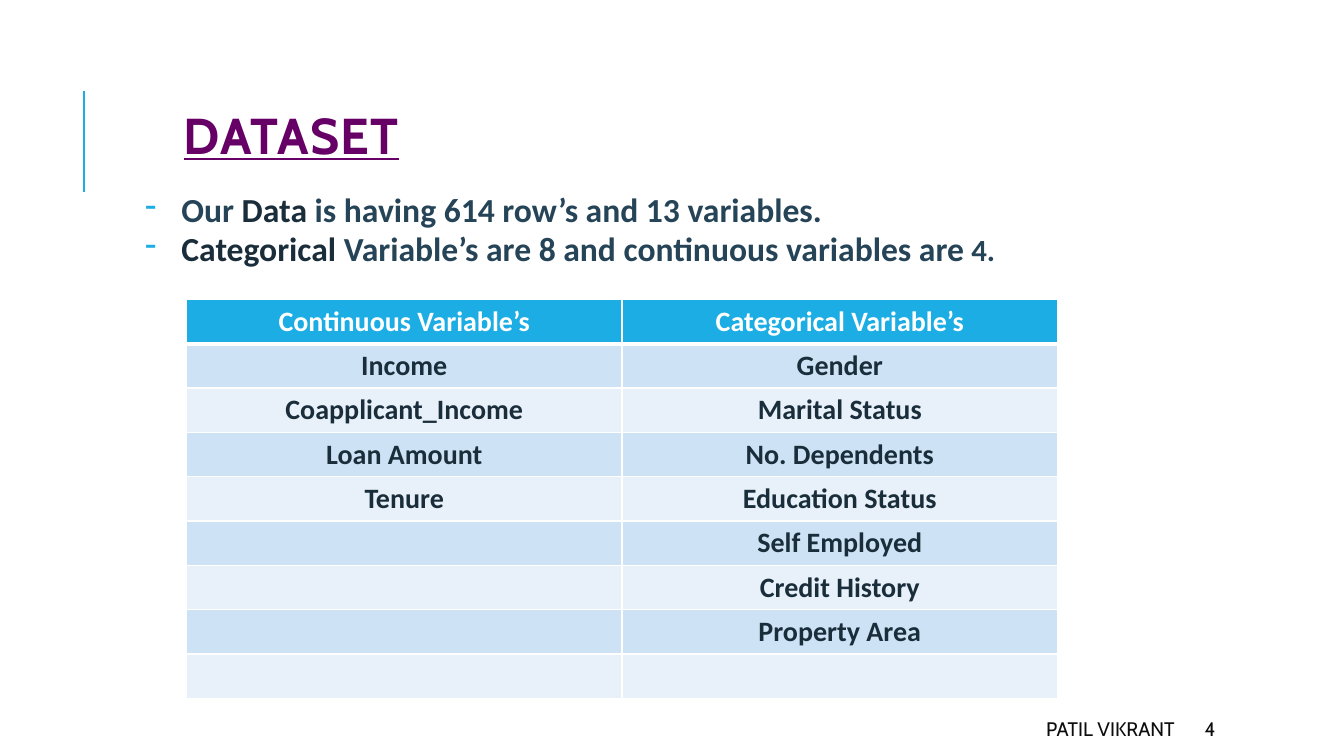
from itertools import zip_longest

from lxml import etree
from pptx import Presentation
from pptx.dml.color import RGBColor
from pptx.enum import shapes, text
from pptx.oxml import ns
from pptx.util import Inches, Pt

ACCENT, WHITE, PURPLE = "1CADE4", "FFFFFF", "660066"
SLATE, DARK, BLACK = "264457", "1A2D3A", "0D0D0D"
BANDS = ("CDE3F5", "E8F1FA")

BULLETS = [
    [("Our ", SLATE, 24), ("Data", DARK, 24),
     (" is having 614 row’s and 13 variables.", SLATE, 24)],
    [("Categorical", DARK, 24),
     (" Variable’s are 8 and continuous variables are", SLATE, 24),
     (" 4.", SLATE, 22)],
]
VARIABLES = {
    "Continuous Variable’s": ["Income", "Coapplicant_Income", "Loan Amount",
                              "Tenure"],
    "Categorical Variable’s": ["Gender", "Marital Status", "No. Dependents",
                               "Education Status", "Self Employed",
                               "Credit History", "Property Area"],
}
ROW_COUNT, ROW_HEIGHT, COL_WIDTH = 9, 0.44, 4.32


def rgb(value):
    return RGBColor.from_string(value)


def sub(parent, tag, **attrs):
    return etree.SubElement(parent, ns.qn(tag), attrs)


def place(sp, left, top, width, height):
    sp.left, sp.top = Inches(left), Inches(top)
    sp.width, sp.height = Inches(width), Inches(height)


def add_run(p, words, size, color, font="Calibri", bold=True):
    r = p.add_run()
    r.text = words
    r.font.name, r.font.size, r.font.bold = font, Pt(size), bold
    r.font.color.rgb = rgb(color)
    return r


def add_textbox(slide, left, top, width, height):
    sp = slide.shapes.add_textbox(Inches(left), Inches(top),
                                  Inches(width), Inches(height))
    sp.text_frame.word_wrap = True
    return sp.text_frame


def add_title(slide, words):
    sp = slide.shapes.title
    place(sp, 1.72, 1.02, 3.43, 0.73)
    tf = sp.text_frame
    tf.auto_size = text.MSO_AUTO_SIZE.NONE
    tf.vertical_anchor = text.MSO_ANCHOR.MIDDLE
    p = tf.paragraphs[0]
    p.alignment, p.line_spacing = text.PP_ALIGN.LEFT, 0.8
    r = add_run(p, words, 36, PURPLE, "Cabin")
    r.font.underline = True
    r.font._element.set("spc", "100")


def add_accent_line(slide):
    line = slide.shapes.add_connector(shapes.MSO_CONNECTOR.STRAIGHT,
                                      Inches(0.83), Inches(1.9),
                                      Inches(0.83), Inches(0.9))
    line.line.color.rgb, line.line.width = rgb(ACCENT), Pt(1.5)
    sub(line._element.spPr, "a:effectLst")


def add_bullets(slide, items):
    tf = add_textbox(slide, 1.25, 1.87, 10.83, 0.95)
    tf.margin_left = tf.margin_right = Inches(0.05)
    tf.margin_top = tf.margin_bottom = Inches(0.05)
    for i, runs in enumerate(items):
        p = tf.add_paragraph() if i else tf.paragraphs[0]
        p.line_spacing, p.space_after = 0.9, Pt(2)
        pPr = p._p.get_or_add_pPr()
        pPr.set("marL", str(Inches(0.5)))
        pPr.set("indent", str(Inches(-0.36)))
        sub(sub(pPr, "a:buClr"), "a:srgbClr", val=ACCENT)
        sub(pPr, "a:buChar", char="-")
        for words, color, size in runs:
            add_run(p, words, size, color)


def set_borders(cell, **widths):
    """Draw white cell borders; widths are points by side (L, R, T, B)."""
    tcPr = cell._tc.get_or_add_tcPr()
    for i, (side, width) in enumerate(widths.items()):
        ln = etree.Element(ns.qn(f"a:ln{side}"), w=str(Pt(width)))
        sub(sub(ln, "a:solidFill"), "a:srgbClr", val=WHITE)
        tcPr.insert(i, ln)


def add_variable_table(slide, columns):
    frame = slide.shapes.add_table(
        ROW_COUNT, len(columns), Inches(1.85), Inches(2.97),
        Inches(COL_WIDTH * len(columns)), Inches(ROW_HEIGHT * ROW_COUNT))
    table = frame.table
    rows = [list(columns), *zip_longest(*columns.values(), fillvalue="")]
    rows += [[""] * len(columns)] * (ROW_COUNT - len(rows))
    for i, row in enumerate(rows):
        fill = BANDS[(i - 1) % 2] if i else ACCENT
        for j, words in enumerate(row):
            cell = table.cell(i, j)
            cell.fill.solid()
            cell.fill.fore_color.rgb = rgb(fill)
            set_borders(cell, L=1, R=1, T=3 if i == 1 else 1,
                        B=1 if i else 3)
            if words:
                p = cell.text_frame.paragraphs[0]
                p.alignment = text.PP_ALIGN.CENTER
                add_run(p, words, 20, DARK if i else WHITE)


def add_footer(slide, words, left, width, align):
    tf = add_textbox(slide, left, 7.08, width, 0.3)
    tf.vertical_anchor = text.MSO_ANCHOR.MIDDLE
    p = tf.paragraphs[0]
    p.alignment = align
    add_run(p, words, 14, BLACK, "Cabin", bold=False)


def main():
    prs = Presentation()
    prs.slide_width, prs.slide_height = Inches(13.33), Inches(7.5)
    slide = prs.slides.add_slide(prs.slide_layouts.get_by_name("Title Only"))
    add_accent_line(slide)
    add_title(slide, "DATASET")
    add_bullets(slide, BULLETS)
    add_variable_table(slide, VARIABLES)
    add_footer(slide, "PATIL VIKRANT", 5.3, 6.45, text.PP_ALIGN.RIGHT)
    add_footer(slide, "4", 11.85, 1.06, text.PP_ALIGN.LEFT)
    prs.save("out.pptx")


if __name__ == "__main__":
    main()
